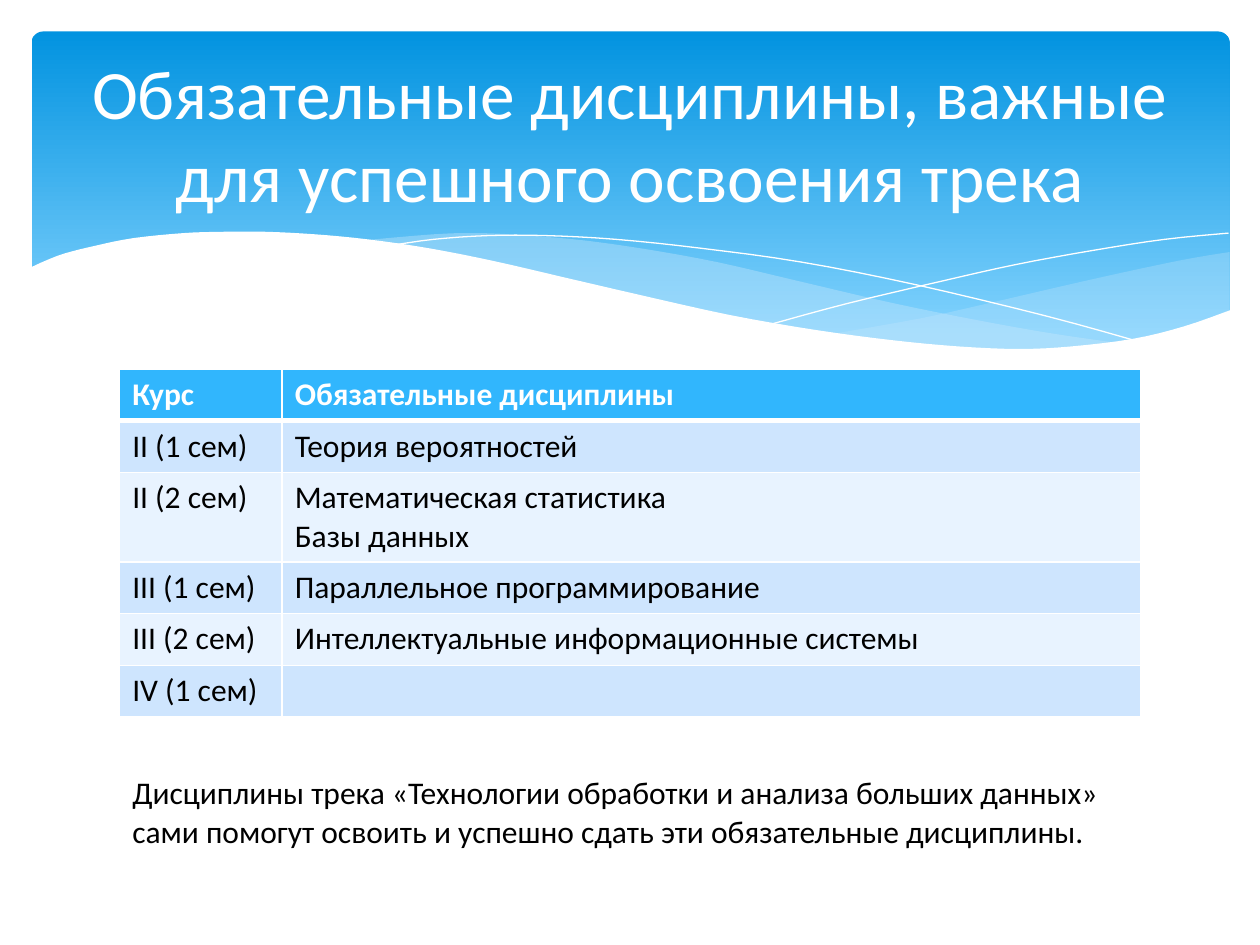
"""Build a slide listing the compulsory courses that matter for the study track."""
from dataclasses import dataclass

from lxml import etree
from pptx import Presentation
from pptx.dml.color import RGBColor
from pptx.enum.shapes import MSO_SHAPE
from pptx.enum.text import MSO_ANCHOR, MSO_AUTO_SIZE, PP_ALIGN
from pptx.oxml.ns import qn
from pptx.util import Inches, Pt

ROUNDED = MSO_SHAPE.ROUNDED_RECTANGLE
MIDDLE = MSO_ANCHOR.MIDDLE
CENTER = PP_ALIGN.CENTER
NO_FIT = MSO_AUTO_SIZE.NONE
TITLE_ONLY = 5


@dataclass(frozen=True)
class Theme:
    font: str = "Calibri"
    title_size: float = 39.6
    body_size: float = 18
    white: str = "FFFFFF"
    black: str = "000000"
    sky_top: str = "0293E0"
    sky_bottom: str = "83D3FE"
    mist: str = "C6E7FC"
    header: str = "31B6FD"
    bands: tuple = ("CEE5FE", "E8F3FF")
    thin: float = 1
    thick: float = 3


THEME = Theme()
WIDTH, HEIGHT = 10, 7.5
TITLE = "Обязательные дисциплины, важные для успешного освоения трека"
HEADER = ("Курс", "Обязательные дисциплины")
COURSES = [
    ("II (1 сем)", "Теория вероятностей"),
    ("II (2 сем)", "Математическая статистика\vБазы данных"),
    ("III (1 сем)", "Параллельное программирование"),
    ("III (2 сем)", "Интеллектуальные информационные системы"),
    ("IV (1 сем)", ""),
]
SUMMARY = ("Дисциплины трека «Технологии обработки и анализа больших данных» "
           "сами помогут освоить и успешно сдать эти обязательные дисциплины.")
COLUMNS = (1.29, 6.81)
ROW_HEIGHT = 0.41
TABLE_TOP = 2.93

RIGHT_RIBBON = [
    [(9.76, 2), (9.35, 2.07), (8.61, 2.23), (7.79, 2.42), (7.29, 2.53), (6.61, 2.65)],
    [(6.61, 2.65), (7.05, 2.71), (7.57, 2.76), (8.03, 2.78), (8.54, 2.76),
     (8.97, 2.7), (9.35, 2.62), (9.76, 2.47)],
]
LONG_RIBBON = [
    [(8.93, 2.73), (8.37, 2.65), (7.75, 2.54), (7.06, 2.4), (6.29, 2.22), (5.69, 2.08),
     (5.14, 1.98), (4.65, 1.91), (4.2, 1.87), (3.8, 1.85), (3.44, 1.86), (2.86, 1.91)],
    [(2.86, 1.91), (3.42, 1.99), (4.04, 2.11), (4.49, 2.22), (5.3, 2.4), (6.01, 2.55),
     (6.65, 2.66), (7.22, 2.74), (7.73, 2.77), (8.18, 2.78), (8.57, 2.77), (8.93, 2.73)],
]
FALLING_LINE = [[(3.09, 1.95), (3.44, 1.9), (3.87, 1.87), (4.33, 1.87), (4.89, 1.9),
                 (5.56, 1.97), (6.36, 2.08), (7.27, 2.26), (8.31, 2.51), (9.07, 2.72)]]
RISING_LINE = [[(6.13, 2.57), (6.72, 2.41), (7.48, 2.23), (8.06, 2.1), (8.66, 1.99),
                (9.24, 1.9), (9.75, 1.85)]]
WAVE = [
    [(9.77, 2.46), (9.4, 2.59), (8.99, 2.69), (8.5, 2.75), (8.09, 2.77), (7.61, 2.75),
     (7.08, 2.7), (6.48, 2.62), (5.79, 2.5), (5.03, 2.33), (4.47, 2.2), (3.91, 2.07),
     (3.4, 1.97), (2.92, 1.9), (2.5, 1.86), (2.11, 1.84), (1.77, 1.84), (1.46, 1.85),
     (1.06, 1.89), (0.76, 1.95), (0.52, 2.01), (0.36, 2.07), (0.23, 2.13)],
    [(0.23, 3.29), (9.77, 3.29)],
]
MIST_SHAPES = [(RIGHT_RIBBON, 29), (LONG_RIBBON, 40)]
STEPS = 4


def color(code):
    return RGBColor.from_string(code)


def smooth(points):
    """Pass a Catmull-Rom curve through the points."""
    if len(points) < 3:
        return points
    padded = [points[0], *points, points[-1]]
    curve = [points[0]]
    for before, start, end, after in zip(padded, padded[1:], padded[2:], padded[3:]):
        for step in range(1, STEPS + 1):
            t = step / STEPS
            curve.append(tuple(
                0.5 * (2 * b + (c - a) * t + (2 * a - 5 * b + 4 * c - d) * t ** 2
                       + (3 * b - a - 3 * c + d) * t ** 3)
                for a, b, c, d in zip(before, start, end, after)))
    return curve


def draw_curve(page, edges, closed):
    points = [(Inches(x), Inches(y)) for edge in edges for x, y in smooth(edge)]
    builder = page.shapes.build_freeform(*points[0])
    builder.add_line_segments(points[1:], close=closed)
    shape = builder.convert_to_shape()
    shape.shadow.inherit = False
    return shape


def fill_area(shape, code, opacity=100):
    shape.fill.solid()
    shape.fill.fore_color.rgb = color(code)
    shape.line.fill.background()
    if opacity < 100:
        solid = shape.element.spPr.find(qn("a:solidFill"))
        etree.SubElement(solid[0], qn("a:alpha"), val=str(opacity * 1000))


def draw_banner(page):
    banner = page.shapes.add_shape(ROUNDED, Inches(0.25), Inches(0.25), Inches(9.51), Inches(2.7))
    banner.adjustments[0] = 0.034
    banner.shadow.inherit = False
    banner.line.fill.background()
    banner.fill.gradient()
    banner.fill.gradient_angle = 270
    stops = ((0, THEME.sky_top), (0.9, THEME.sky_bottom))
    for stop, (position, code) in zip(banner.fill.gradient_stops, stops):
        stop.position = position
        stop.color.rgb = color(code)
    for edges, opacity in MIST_SHAPES:
        fill_area(draw_curve(page, edges, True), THEME.mist, opacity)
    for edges in (FALLING_LINE, RISING_LINE):
        line = draw_curve(page, edges, False)
        line.fill.background()
        line.line.color.rgb = color(THEME.white)
        line.line.width = Pt(0)
    fill_area(draw_curve(page, WAVE, True), THEME.white)


def style_text(frame, size, code, bold=False):
    for para in frame.paragraphs:
        for span in para.runs:
            span.font.name = THEME.font
            span.font.size = Pt(size)
            span.font.bold = bold
            span.font.color.rgb = color(code)


def draw_borders(cell, row):
    widths = {"L": THEME.thin, "R": THEME.thin,
              "T": THEME.thick if row == 1 else THEME.thin,
              "B": THEME.thick if row == 0 else THEME.thin}
    properties = cell._tc.get_or_add_tcPr()
    for side, width in widths.items():
        border = etree.SubElement(properties, qn(f"a:ln{side}"), w=str(Pt(width)))
        solid = etree.SubElement(border, qn("a:solidFill"))
        etree.SubElement(solid, qn("a:srgbClr"), val=THEME.white)


def draw_table(page):
    rows = [HEADER, *COURSES, ("", ""), (SUMMARY, "")]
    left = (WIDTH - sum(COLUMNS)) / 2
    table = page.shapes.add_table(
        len(rows), len(COLUMNS), Inches(left), Inches(TABLE_TOP),
        Inches(sum(COLUMNS)), Inches(ROW_HEIGHT * len(rows))).table
    for column, width in zip(table.columns, COLUMNS):
        column.width = Inches(width)
    fills = [THEME.header] + [THEME.bands[i % 2] for i in range(len(COURSES))]
    for row, texts in enumerate(rows):
        for column, text in enumerate(texts):
            cell = table.cell(row, column)
            cell.text = text
            style_text(cell.text_frame, THEME.body_size,
                       THEME.black if row else THEME.white, row == 0)
            draw_borders(cell, row)
            if row < len(fills):
                cell.fill.solid()
                cell.fill.fore_color.rgb = color(fills[row])
            else:
                cell.fill.background()
    last = len(rows) - 1
    table.cell(last, 0).merge(table.cell(last, len(COLUMNS) - 1))


def place_title(page):
    title = page.shapes.title
    title.left, title.top, title.width, title.height = map(Inches, (0.5, 0.37, 9, 1.37))
    frame = title.text_frame
    frame.text = TITLE
    frame.word_wrap = True
    frame.auto_size = NO_FIT
    frame.vertical_anchor = MIDDLE
    frame.paragraphs[0].alignment = CENTER
    style_text(frame, THEME.title_size, THEME.white)
    title.element.getparent().append(title.element)


def main():
    deck = Presentation()
    deck.slide_width, deck.slide_height = Inches(WIDTH), Inches(HEIGHT)
    page = deck.slides.add_slide(deck.slide_layouts[TITLE_ONLY])
    draw_banner(page)
    draw_table(page)
    place_title(page)
    deck.save("out.pptx")


if __name__ == "__main__":
    main()
